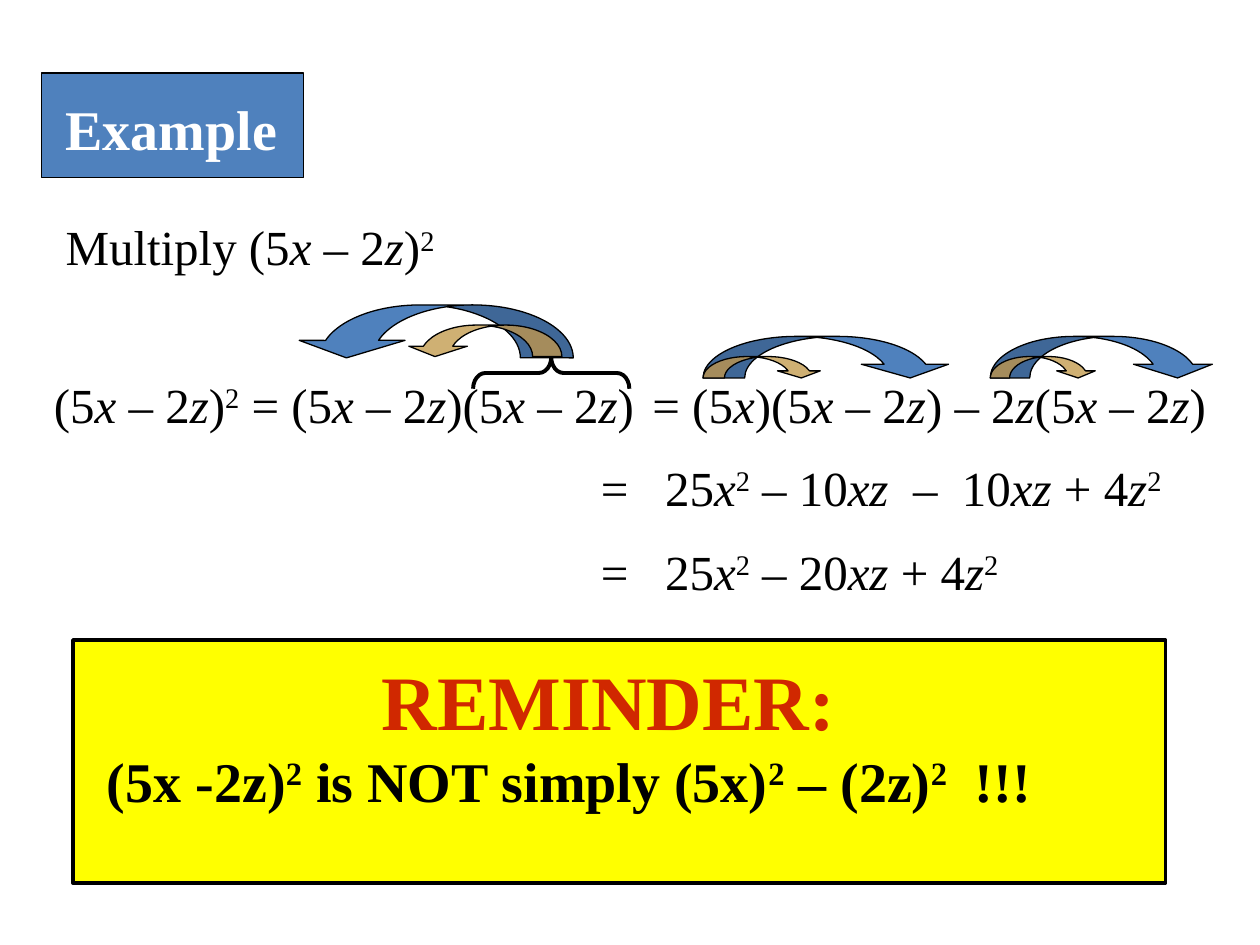
"""Build the worked example slide on squaring a binomial."""
from itertools import groupby

from lxml import etree
from pptx import Presentation
from pptx.dml.color import RGBColor
from pptx.enum import shapes, text
from pptx.oxml import ns
from pptx.util import Inches, Pt

COLORS = {"black": "000000", "white": "FFFFFF", "blue": "4F81BD",
          "tan": "CFB073", "yellow": "FFFF00", "red": "D02800"}
FONT = "Times New Roman"


def add_runs(paragraph, content, size=28, color="black", bold=False, variables="xz"):
    """Write content run by run: variables in italics, the digit after ^ raised."""
    for index, piece in enumerate(content.split("^")):
        raised = 1 if index else 0
        parts = [(piece[:raised], False, True)]
        for italic, letters in groupby(piece[raised:], lambda letter: letter in variables):
            parts.append(("".join(letters), italic, False))
        for words, italic, superscript in parts:
            if not words:
                continue
            run = paragraph.add_run()
            run.text = words
            run.font.name = FONT
            run.font.size = Pt(size)
            run.font.bold = bold
            run.font.italic = italic
            run.font.color.rgb = RGBColor.from_string(COLORS[color])
            if superscript:
                run.font._element.set("baseline", "30000")


def add_outlined(kind, left, top, width, height, fill=None, line_width=0.75):
    """Add a preset shape with a black outline and no shadow."""
    shape = slide.shapes.add_shape(kind, Inches(left), Inches(top), Inches(width), Inches(height))
    shape.shadow.inherit = False
    if fill:
        shape.fill.solid()
        shape.fill.fore_color.rgb = RGBColor.from_string(COLORS[fill])
    else:
        shape.fill.background()
    shape.line.color.rgb = RGBColor.from_string(COLORS["black"])
    shape.line.width = Pt(line_width)
    return shape


presentation = Presentation()
presentation.slide_width = Inches(10)
presentation.slide_height = Inches(7.5)
slide = presentation.slides.add_slide(presentation.slide_layouts[1])

title = slide.shapes.title
title.left, title.top, title.width, title.height = map(Inches, (0.33, 0.58, 2.08, 0.83))
title.fill.solid()
title.fill.fore_color.rgb = RGBColor.from_string(COLORS["blue"])
title.line.color.rgb = RGBColor.from_string(COLORS["black"])
title.line.width = Pt(0.75)
title.text_frame.auto_size = text.MSO_AUTO_SIZE.NONE
title.text_frame.margin_left = Inches(0.19)
title.text_frame.margin_top = Inches(0.1)
paragraph = title.text_frame.paragraphs[0]
paragraph.alignment = text.PP_ALIGN.LEFT
add_runs(paragraph, "Example", 32, "white", bold=True, variables="")

task = slide.placeholders[1]
task.left, task.top, task.width, task.height = map(Inches, (0.42, 1.67, 3.42, 0.67))
task.text_frame.auto_size = text.MSO_AUTO_SIZE.NONE
paragraph = task.text_frame.paragraphs[0]
properties = paragraph._p.get_or_add_pPr()
properties.set("marL", "0")
properties.set("indent", "0")
etree.SubElement(properties, ns.qn("a:buNone"))
add_runs(paragraph, "Multiply (5x – 2z)^2")

equations = [
    (0.33, 2.92, 5, "(5x – 2z)^2 = (5x – 2z)(5x – 2z)"),
    (5.08, 2.92, 4.67, "= (5x)(5x – 2z) – 2z(5x – 2z)"),
    (4.67, 3.58, 5.08, "=   25x^2 – 10xz  –  10xz + 4z^2"),
    (4.67, 4.25, 5.08, "=   25x^2 – 20xz + 4z^2"),
]
for left, top, width, equation in equations:
    box = slide.shapes.add_textbox(Inches(left), Inches(top), Inches(width), Inches(0.57))
    box.text_frame.word_wrap = True
    paragraph = box.text_frame.paragraphs[0]
    paragraph.space_before = Pt(3)
    add_runs(paragraph, equation)

brace = add_outlined(shapes.MSO_SHAPE.RIGHT_BRACE, 4.25, 2.34, 0.25, 1.24, line_width=2.25)
brace.rotation = 270
brace.adjustments[0] = 0.39

arrows = [
    (2.33, 2.42, 2.22, 0.42, "blue", 1, True),
    (3.22, 2.58, 1.24, 0.25, "tan", 0.93, True),
    (5.58, 2.67, 1.99, 0.33, "blue", 1.05, False),
    (7.86, 2.67, 1.8, 0.33, "blue", 0.95, False),
    (7.86, 2.83, 0.85, 0.17, "tan", 0.9, False),
    (5.58, 2.83, 0.95, 0.17, "tan", 1, False),
]
for left, top, width, height, fill, thickness, leftward in arrows:
    arrow = add_outlined(shapes.MSO_SHAPE.CURVED_DOWN_ARROW, left, top, width, height, fill)
    for index, value in enumerate((thickness, 2 * thickness, 0.33)):
        arrow.adjustments[index] = value
    if leftward:
        arrow._element.spPr.xfrm.set("flipH", "1")

reminder = add_outlined(shapes.MSO_SHAPE.RECTANGLE, 0.58, 5.08, 8.67, 1.93, "yellow", 2)
frame = reminder.text_frame
frame.word_wrap = True
frame.vertical_anchor = text.MSO_ANCHOR.TOP
frame.margin_top = Inches(0.11)
frame.margin_right = Inches(0.27)
heading = frame.paragraphs[0]
heading.alignment = text.PP_ALIGN.CENTER
add_runs(heading, "REMINDER:", 44, "red", bold=True)
warning = frame.add_paragraph()
warning.alignment = text.PP_ALIGN.LEFT
warning._p.get_or_add_pPr().set("marL", str(Inches(0.17)))
add_runs(warning, "(5x -2z)^2 is NOT simply (5x)^2 – (2z)^2  !!!", 32, bold=True, variables="")

presentation.save("out.pptx")
